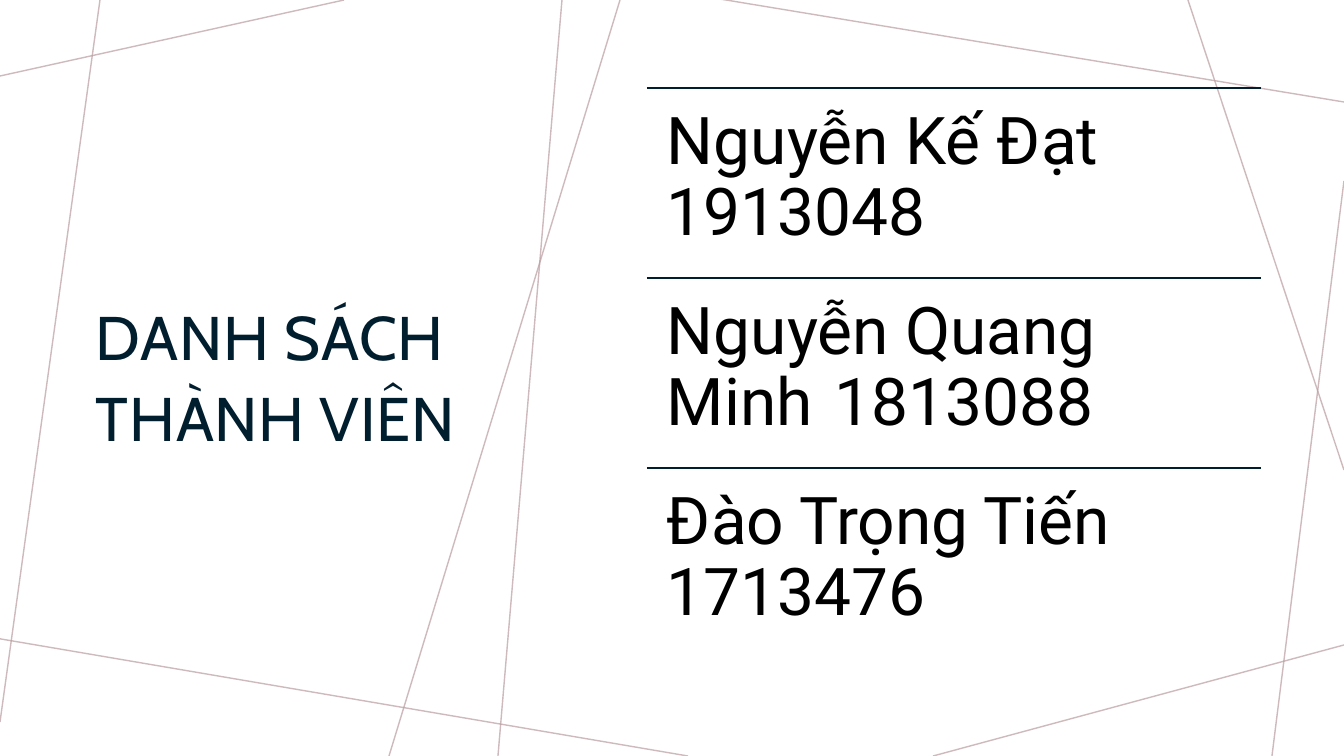
from dataclasses import dataclass

from lxml.etree import SubElement
from pptx import Presentation
from pptx.dml.color import RGBColor
from pptx.enum.shapes import MSO_CONNECTOR
from pptx.enum.text import MSO_ANCHOR, MSO_AUTO_SIZE, PP_ALIGN
from pptx.oxml.ns import qn
from pptx.util import Emu, Pt

TITLE = "DANH SÁCH THÀNH VIÊN"
MEMBERS = [
    "Nguyễn Kế Đạt\t\t  1913048",
    "Nguyễn Quang Minh\t 1813088",
    "Đào Trọng Tiến\t 1713476",
]
# Background lines in px: x1, y1, x2, y2
EDGE_LINES = [
    (344, 0, 0, 76),
    (100, 0, 0, 722),
    (688, 756, -5, 638),
    (1344, 645, 933, 756),
    (1344, 181, 1272, 756),
    (1344, 470, 1188, 0),
    (1344, 102, 720, -1),
]
DIVIDING_LINES = [(620, 0, 389, 756), (562, 0, 498, 756)]

SLIDE_SIZE = (1344, 756)
TITLE_BOX = (84, 100, 410, 544)
LIST_LEFT, LIST_TOP, LIST_WIDTH, ROW_HEIGHT = 647, 88, 614, 190


@dataclass(frozen=True)
class Theme:
    ink: str = "001E2E"
    member: str = "000000"
    web: str = "BA9CA0"
    web_opacity: int = 70
    title_font: str = "Cabin"
    member_font: str = "Roboto"
    title_size: int = 44
    member_size: int = 47


THEME = Theme()


def px(length):
    return Emu(round(length * 914400 / 100.8))


def set_all(target, values):
    for name, value in values.items():
        setattr(target, name, value)


def add_line(shapes, ends, color, opacity=100):
    line = shapes.add_connector(MSO_CONNECTOR.STRAIGHT, *map(px, ends))
    line.line.width = Pt(1)
    line.line.color.rgb = RGBColor.from_string(color)
    if opacity < 100:
        fill_color = line.line._ln.find(".//" + qn("a:srgbClr"))
        SubElement(fill_color, qn("a:alpha")).set("val", str(opacity * 1000))
    SubElement(line._element.spPr, qn("a:effectLst"))


def write(frame, wording, insets, anchor, spacing, font, size, color):
    sides = ("margin_left", "margin_top", "margin_right", "margin_bottom")
    set_all(frame, {
        "word_wrap": True,
        "auto_size": MSO_AUTO_SIZE.NONE,
        "vertical_anchor": anchor,
        **dict(zip(sides, map(px, insets))),
    })
    paragraph = frame.paragraphs[0]
    set_all(paragraph, {"alignment": PP_ALIGN.LEFT, "line_spacing": spacing})
    run = paragraph.add_run()
    run.text = wording
    set_all(run.font, {"name": font, "size": Pt(size), "bold": False})
    run.font.color.rgb = RGBColor.from_string(color)
    return run


def add_title(slide):
    title = slide.shapes.title
    set_all(title, dict(zip(("left", "top", "width", "height"), map(px, TITLE_BOX))))
    run = write(title.text_frame, TITLE, (12, 12, 12, 10), MSO_ANCHOR.MIDDLE, 1.1,
                THEME.title_font, THEME.title_size, THEME.ink)
    run.font._element.set("spc", "50")


def add_members(slide):
    member_list = slide.shapes.add_group_shape().shapes
    for row, member in enumerate(MEMBERS):
        top = LIST_TOP + row * ROW_HEIGHT
        add_line(member_list, (LIST_LEFT, top, LIST_LEFT + LIST_WIDTH, top), THEME.ink)
        entry = member_list.add_textbox(*map(px, (LIST_LEFT, top, LIST_WIDTH, ROW_HEIGHT)))
        write(entry.text_frame, member, (20,) * 4, MSO_ANCHOR.TOP, 0.9,
              THEME.member_font, THEME.member_size, THEME.member)


def main():
    deck = Presentation()
    deck.slide_width, deck.slide_height = map(px, SLIDE_SIZE)
    slide = deck.slides.add_slide(deck.slide_layouts[5])
    for ends in EDGE_LINES + DIVIDING_LINES:
        add_line(slide.shapes, ends, THEME.web, THEME.web_opacity)
    add_title(slide)
    add_members(slide)
    deck.save("out.pptx")


if __name__ == "__main__":
    main()
